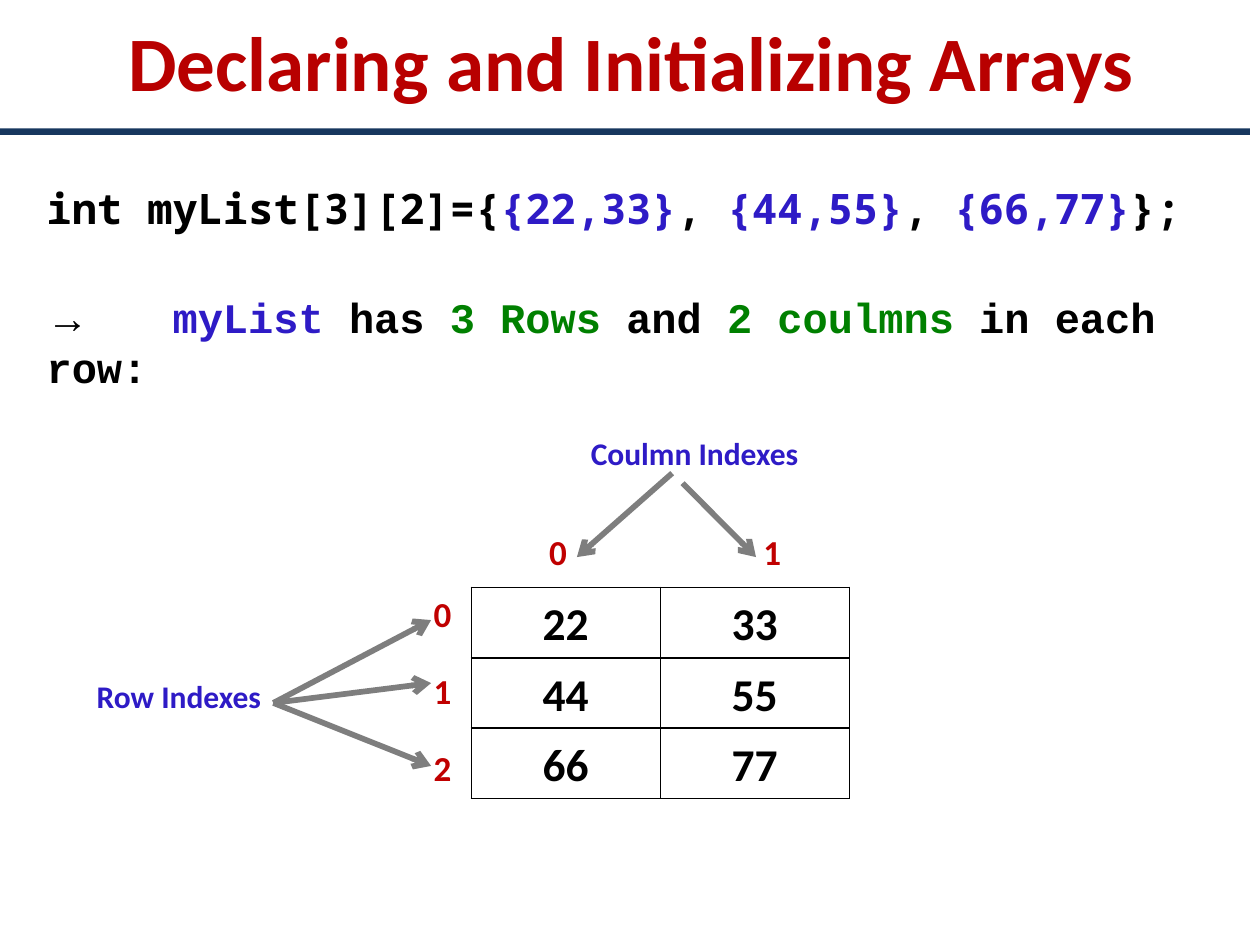
from lxml import etree
from pptx import Presentation
from pptx.dml.color import RGBColor
from pptx.enum.shapes import MSO_CONNECTOR, MSO_SHAPE
from pptx.enum.text import MSO_ANCHOR, MSO_AUTO_SIZE, PP_ALIGN
from pptx.oxml.ns import qn
from pptx.util import Cm, Pt

LEFT, CENTER = PP_ALIGN.LEFT, PP_ALIGN.CENTER
TOP = MSO_ANCHOR.TOP
NO_AUTOSIZE = MSO_AUTO_SIZE.NONE
STRAIGHT = MSO_CONNECTOR.STRAIGHT
RECTANGLE = MSO_SHAPE.RECTANGLE

TITLE_RED, INDEX_RED = "B80000", "C00000"
BLUE, GREEN, NAVY = "2E1BC6", "008000", "17375E"
BLACK, GRAY = "000000", "7E7E7E"
HEADING_FONT, CODE_FONT, TEXT_FONT = "Calibri", "Noto Sans Mono", "Courier New"

DECLARATION = [
    ("int myList[3][2]={", BLACK), ("{22,33}", BLUE), (", ", BLACK),
    ("{44,55}", BLUE), (", ", BLACK), ("{66,77}", BLUE), ("};", BLACK),
]
EXPLANATION = [
    ("myList ", BLUE), ("has ", BLACK), ("3 Rows ", GREEN), ("and ", BLACK),
    ("2 coulmns ", GREEN), ("in each row:", BLACK),
]
VALUES = [["22", "33"], ["44", "55"], ["66", "77"]]


def rgb(color):
    return RGBColor.from_string(color)


def style_font(font, name, size, color, bold=True):
    font.name, font.size, font.bold = name, Pt(size), bold
    font.color.rgb = rgb(color)


def set_frame(frame, wrap=True):
    frame.auto_size = NO_AUTOSIZE
    frame.word_wrap = wrap
    frame.vertical_anchor = TOP
    frame.margin_left = Cm(0.05)
    frame.margin_top = Cm(0.06)
    frame.margin_right = frame.margin_bottom = 0


def add_title(slide, text):
    title = slide.shapes.title
    title.left, title.top, title.width, title.height = Cm(2.54), Cm(0.23), Cm(20.35), Cm(1.93)
    set_frame(title.text_frame)
    title.text_frame.text = text
    paragraph = title.text_frame.paragraphs[0]
    paragraph.alignment = LEFT
    style_font(paragraph.runs[0].font, HEADING_FONT, 44, TITLE_RED)


def add_title_rule(slide):
    rule = slide.shapes.add_shape(RECTANGLE, 0, Cm(2.59), Cm(25.2), Cm(0.13))
    rule.shadow.inherit = False
    rule.fill.solid()
    rule.fill.fore_color.rgb = rgb(NAVY)
    rule.line.fill.background()


def add_run(paragraph, text, font_name, color, bold=True):
    run = paragraph.add_run()
    run.text = text
    style_font(run.font, font_name, 24, color, bold)


def add_statement(slide):
    box = slide.shapes.add_textbox(Cm(0.89), Cm(3.61), Cm(23.77), Cm(3.12))
    frame = box.text_frame
    set_frame(frame)
    declaration = frame.paragraphs[0]
    for text, color in DECLARATION:
        add_run(declaration, text, CODE_FONT, color)

    explanation = frame.add_paragraph()
    explanation.space_before = Pt(33.6)
    tabs = etree.SubElement(explanation._p.get_or_add_pPr(), qn("a:tabLst"))
    etree.SubElement(tabs, qn("a:tab"), pos=str(Cm(2.54)), algn="l")
    add_run(explanation, "→\t", "Arial", BLACK, bold=False)
    for text, color in EXPLANATION:
        add_run(explanation, text, TEXT_FONT, color)


def add_label(slide, text, left, top, width, height, size, color):
    box = slide.shapes.add_textbox(Cm(left), Cm(top), Cm(width), Cm(height))
    set_frame(box.text_frame, wrap=False)
    box.text_frame.text = text
    style_font(box.text_frame.paragraphs[0].runs[0].font, HEADING_FONT, size, color)


def add_index(slide, index, left, top):
    add_label(slide, str(index), left, top, 0.43, 0.91, 20, INDEX_RED)


def add_arrow(slide, start, end):
    points = [Cm(value) for value in (*start, *end)]
    arrow = slide.shapes.add_connector(STRAIGHT, *points)
    arrow.line.width = Pt(3.25)
    arrow.line.color.rgb = rgb(GRAY)
    etree.SubElement(arrow.line._get_or_add_ln(), qn("a:tailEnd"), type="arrow")
    etree.SubElement(arrow._element.spPr, qn("a:effectLst"))


def add_borders(cell):
    properties = cell._tc.get_or_add_tcPr()
    for side in ("a:lnL", "a:lnR", "a:lnT", "a:lnB"):
        border = etree.SubElement(properties, qn(side), w=str(Pt(1)))
        fill = etree.SubElement(border, qn("a:solidFill"))
        etree.SubElement(fill, qn("a:srgbClr"), val=BLACK)


def add_value_table(slide):
    table = slide.shapes.add_table(
        len(VALUES), len(VALUES[0]), Cm(9.5), Cm(11.84), Cm(7.62), Cm(4.26)
    ).table
    table.first_row = table.horz_banding = False
    for row, values in zip(table.rows, VALUES):
        row.height = Cm(1.42)
        for cell, value in zip(row.cells, values):
            add_borders(cell)
            cell.fill.background()
            cell.margin_left = cell.margin_right = cell.margin_bottom = 0
            cell.margin_top = Cm(0.2)
            cell.text = value
            paragraph = cell.text_frame.paragraphs[0]
            paragraph.alignment = CENTER
            style_font(paragraph.runs[0].font, HEADING_FONT, 26, BLACK)


def main():
    presentation = Presentation()
    presentation.slide_width, presentation.slide_height = Cm(25.4), Cm(19.05)
    slide = presentation.slides.add_slide(presentation.slide_layouts[5])

    add_title(slide, "Declaring and Initializing Arrays")
    add_title_rule(slide)
    add_statement(slide)
    add_value_table(slide)

    for row in range(len(VALUES)):
        add_index(slide, row, 8.69, 11.89 + 1.55 * row)
    for column in range(len(VALUES[0])):
        add_index(slide, column, 11.02 + 4.32 * column, 10.64)

    add_label(slide, "Coulmn Indexes", 11.86, 8.69, 4.24, 0.84, 18, BLUE)
    add_arrow(slide, (13.55, 9.54), (11.63, 11.23))
    add_arrow(slide, (13.76, 9.74), (15.24, 11.23))

    add_label(slide, "Row Indexes", 1.9, 13.59, 3.38, 0.84, 18, BLUE)
    for tip in (12.5, 13.77, 15.44):
        add_arrow(slide, (5.51, 14.17), (8.69, tip))

    presentation.save("out.pptx")


if __name__ == "__main__":
    main()
